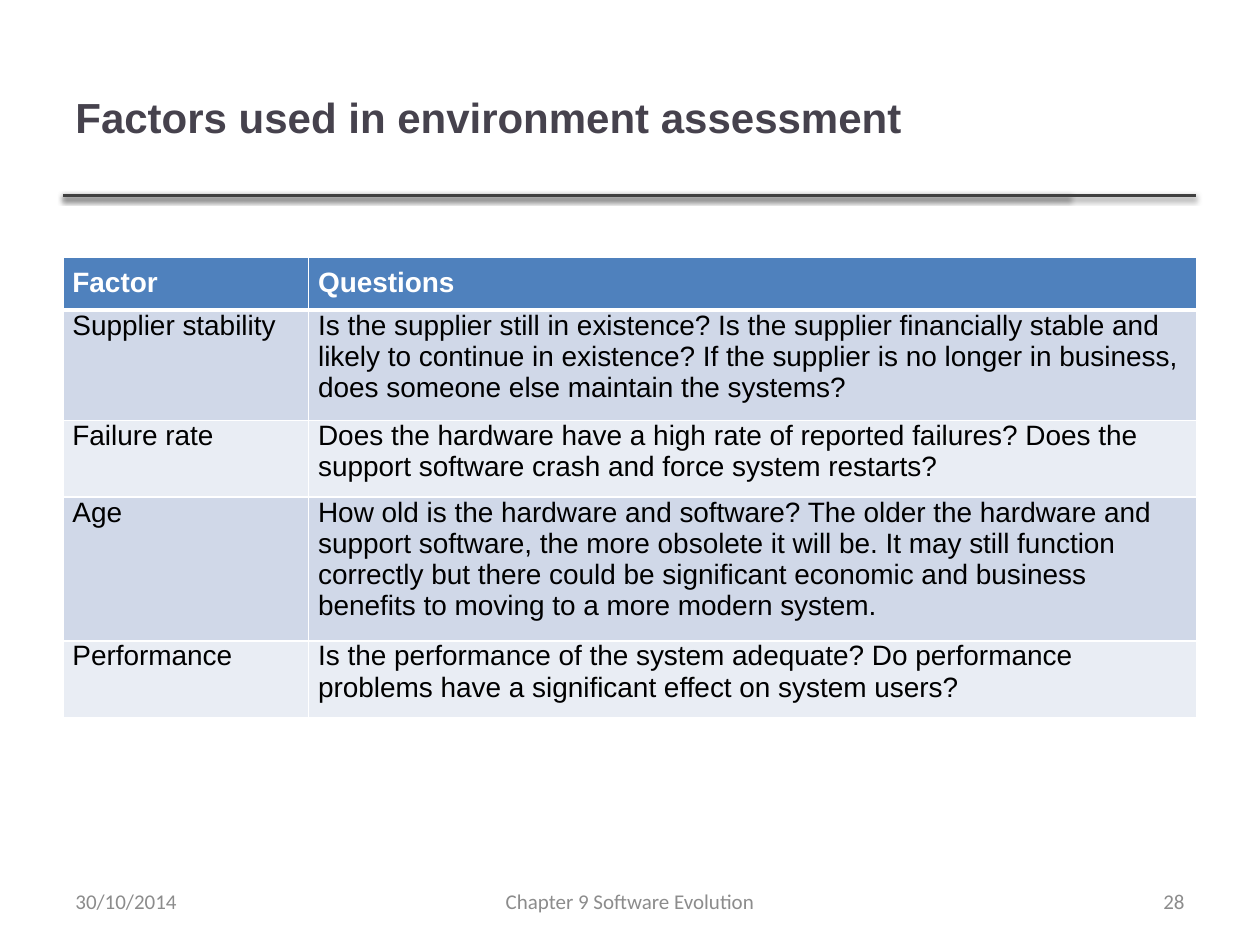
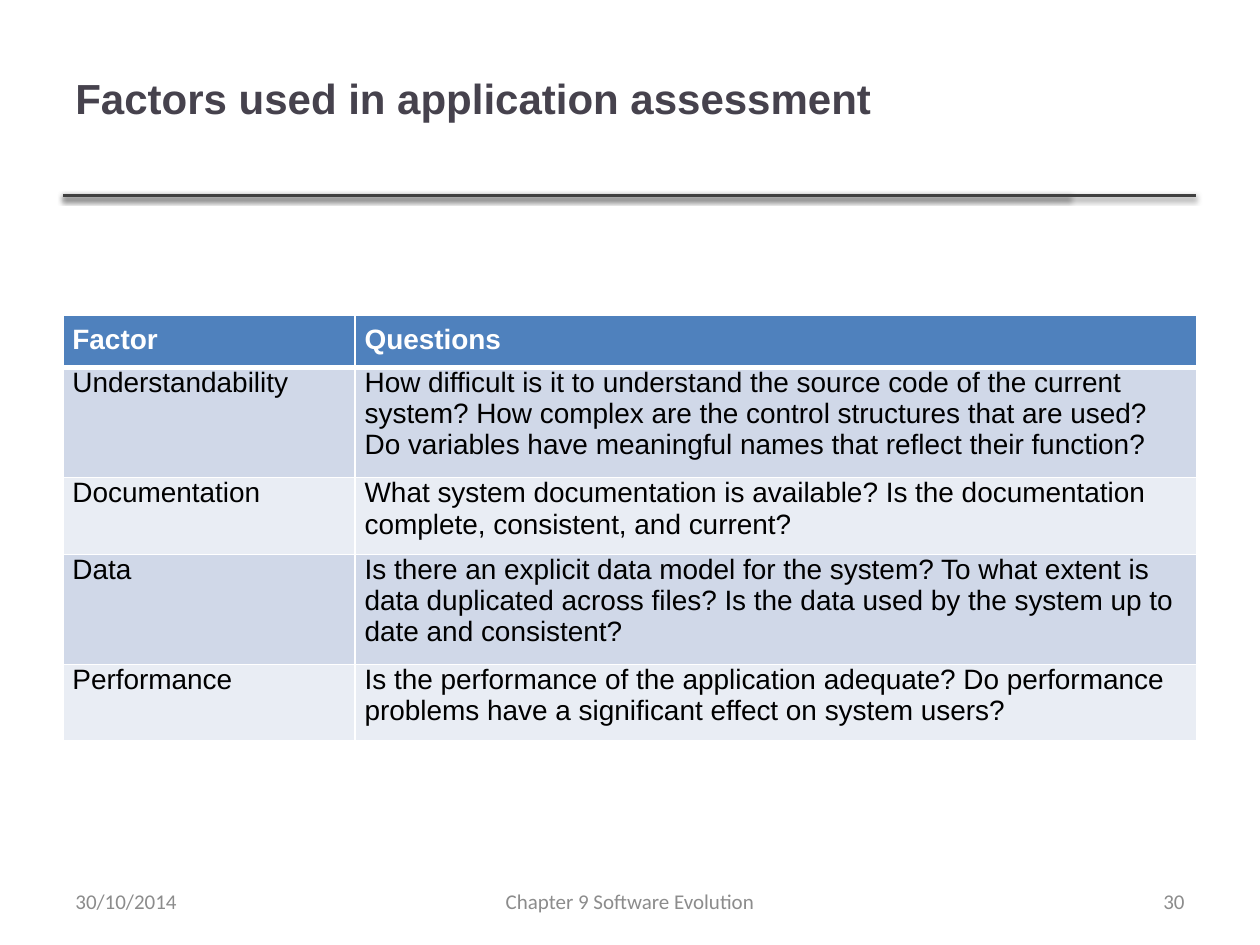
from dataclasses import dataclass

from lxml import etree
from pptx import Presentation
from pptx.dml import color
from pptx.enum import shapes, text
from pptx.oxml import ns
from pptx.util import Pt


@dataclass(frozen=True)
class Theme:
    """Colours, fonts and sizes shared by all slides."""
    title: str = "46424D"
    rule: str = "404040"
    footer: str = "8C8C8C"
    header: str = "4F81BD"
    bands: tuple = ("D0D8E8", "E9EDF4")
    light: str = "FFFFFF"
    dark: str = "000000"
    body_font: str = "Arial"
    footer_font: str = "Calibri"
    title_size: float = 24
    table_size: float = 16
    footer_size: float = 12


THEME = Theme()
LEFT, WIDTH = 36, 648
RULE_TOP = 111.6
FOOTER_TOP, FOOTER_HEIGHT = 500.5, 28.8
ROW_HEIGHT, CELL_INSET = 29.2, 5.4


def rgb(value):
    """Turn a hex string into a colour."""
    return color.RGBColor.from_string(value)


def add_node(parent, tag, **attributes):
    """Append a drawing element with the given attributes."""
    return etree.SubElement(parent, ns.qn(tag), {key: str(value) for key, value in attributes.items()})


def style_text(para, font, size, ink, bold=False):
    """Format every run of a paragraph."""
    for span in para.runs:
        span.font.name, span.font.size, span.font.bold = font, Pt(size), bold
        span.font.color.rgb = rgb(ink)


def add_label(page, box, words, font, size, ink, bold=False, align=text.PP_ALIGN.LEFT):
    """Place one vertically centred line of text in a box."""
    frame = page.shapes.add_textbox(*map(Pt, box)).text_frame
    frame.word_wrap = True
    frame.vertical_anchor = text.MSO_ANCHOR.MIDDLE
    frame.text = words
    frame.paragraphs[0].alignment = align
    style_text(frame.paragraphs[0], font, size, ink, bold)


def add_rule(page, left, top, width):
    """Draw a shadowed horizontal line."""
    rule = page.shapes.add_connector(
        shapes.MSO_CONNECTOR.STRAIGHT, Pt(left), Pt(top), Pt(left + width), Pt(top))
    rule.line.color.rgb = rgb(THEME.rule)
    rule.line.width = Pt(2)
    effects = add_node(rule._element.spPr, "a:effectLst")
    shadow = add_node(effects, "a:outerShdw", blurRad=Pt(3.1), dist=Pt(1.6), dir=5400000, rotWithShape=0)
    add_node(add_node(shadow, "a:srgbClr", val=THEME.dark), "a:alpha", val=38000)


def add_footer(page, box, number):
    """Place the date, chapter and slide number along the bottom."""
    left, top, width, height = box
    side, middle = 168, 228
    parts = (
        ("30/10/2014", left, side, text.PP_ALIGN.LEFT),
        ("Chapter 9 Software Evolution", left + (width - middle) / 2, middle, text.PP_ALIGN.CENTER),
        (str(number), left + width - side, side, text.PP_ALIGN.RIGHT),
    )
    for words, start, span_width, align in parts:
        add_label(page, (start, top, span_width, height), words,
                  THEME.footer_font, THEME.footer_size, THEME.footer, align=align)


def style_cell(cell, row):
    """Give a cell its margins, borders, fill and text format."""
    is_header = row == 0
    cell.margin_left = cell.margin_right = cell.margin_bottom = Pt(CELL_INSET)
    cell.margin_top = Pt(CELL_INSET if is_header else 0)
    borders = {"a:lnL": 1, "a:lnR": 1, "a:lnT": 3 if row == 1 else 1, "a:lnB": 3 if is_header else 1}
    for tag, weight in borders.items():
        edge = add_node(cell._tc.get_or_add_tcPr(), tag, w=Pt(weight))
        add_node(add_node(edge, "a:solidFill"), "a:srgbClr", val=THEME.light)
    cell.fill.solid()
    cell.fill.fore_color.rgb = rgb(THEME.header if is_header else THEME.bands[(row - 1) % 2])
    para = cell.text_frame.paragraphs[0]
    para.space_after = Pt(6)
    style_text(para, THEME.body_font, THEME.table_size, THEME.light if is_header else THEME.dark, is_header)


def add_factor_table(page, left, top, width, factor_width, factors):
    """Build the table of factors and their questions."""
    rows = [("Factor", "Questions"), *factors]
    table = page.shapes.add_table(
        len(rows), 2, Pt(left), Pt(top), Pt(width), Pt(ROW_HEIGHT * len(rows))).table
    table.columns[0].width = Pt(factor_width)
    table.columns[1].width = Pt(width - factor_width)
    for row, entries in enumerate(rows):
        table.rows[row].height = Pt(ROW_HEIGHT)
        for column, words in enumerate(entries):
            cell = table.cell(row, column)
            cell.text_frame.text = words
            style_cell(cell, row)


def add_factor_slide(deck, title, title_box, number, table_top, factor_width, factors):
    """Add one slide with a title, a table of factors and a footer."""
    page = deck.slides.add_slide(deck.slide_layouts[6])
    for width in (575.3, 647.3):
        add_rule(page, LEFT, RULE_TOP, width)
    add_label(page, title_box, title, THEME.body_font, THEME.title_size, THEME.title, bold=True)
    add_factor_table(page, LEFT, table_top, WIDTH, factor_width, factors)
    add_footer(page, (LEFT, FOOTER_TOP, WIDTH, FOOTER_HEIGHT), number)


ENVIRONMENT = (
    ("Supplier stability",
     "Is the supplier still in existence? Is the supplier financially stable and likely to continue "
     "in existence? If the supplier is no longer in business, does someone else maintain the systems?"),
    ("Failure rate",
     "Does the hardware have a high rate of reported failures? Does the support software crash and "
     "force system restarts?"),
    ("Age",
     "How old is the hardware and software? The older the hardware and support software, the more "
     "obsolete it will be. It may still function correctly but there could be significant economic "
     "and business benefits to moving to a more modern system."),
    ("Performance",
     "Is the performance of the system adequate? Do performance problems have a significant effect "
     "on system users?"),
)
APPLICATION = (
    ("Understandability",
     "How difficult is it to understand the source code of the current system? How complex are the "
     "control structures that are used? Do variables have meaningful names that reflect their function?"),
    ("Documentation",
     "What system documentation is available? Is the documentation complete, consistent, and current?"),
    ("Data",
     "Is there an explicit data model for the system? To what extent is data duplicated across files? "
     "Is the data used by the system up to date and consistent?"),
    ("Performance",
     "Is the performance of the application adequate? Do performance problems have a significant "
     "effect on system users?"),
)

deck = Presentation()
deck.slide_width, deck.slide_height = Pt(720), Pt(540)
add_factor_slide(deck, "Factors used in environment assessment", (LEFT, 21.6, 574.6, 90),
                 28, 147.2, 140.4, ENVIRONMENT)
add_factor_slide(deck, "Factors used in application assessment", (LEFT, 10.8, WIDTH, 90),
                 30, 180, 167, APPLICATION)
deck.save("out.pptx")
